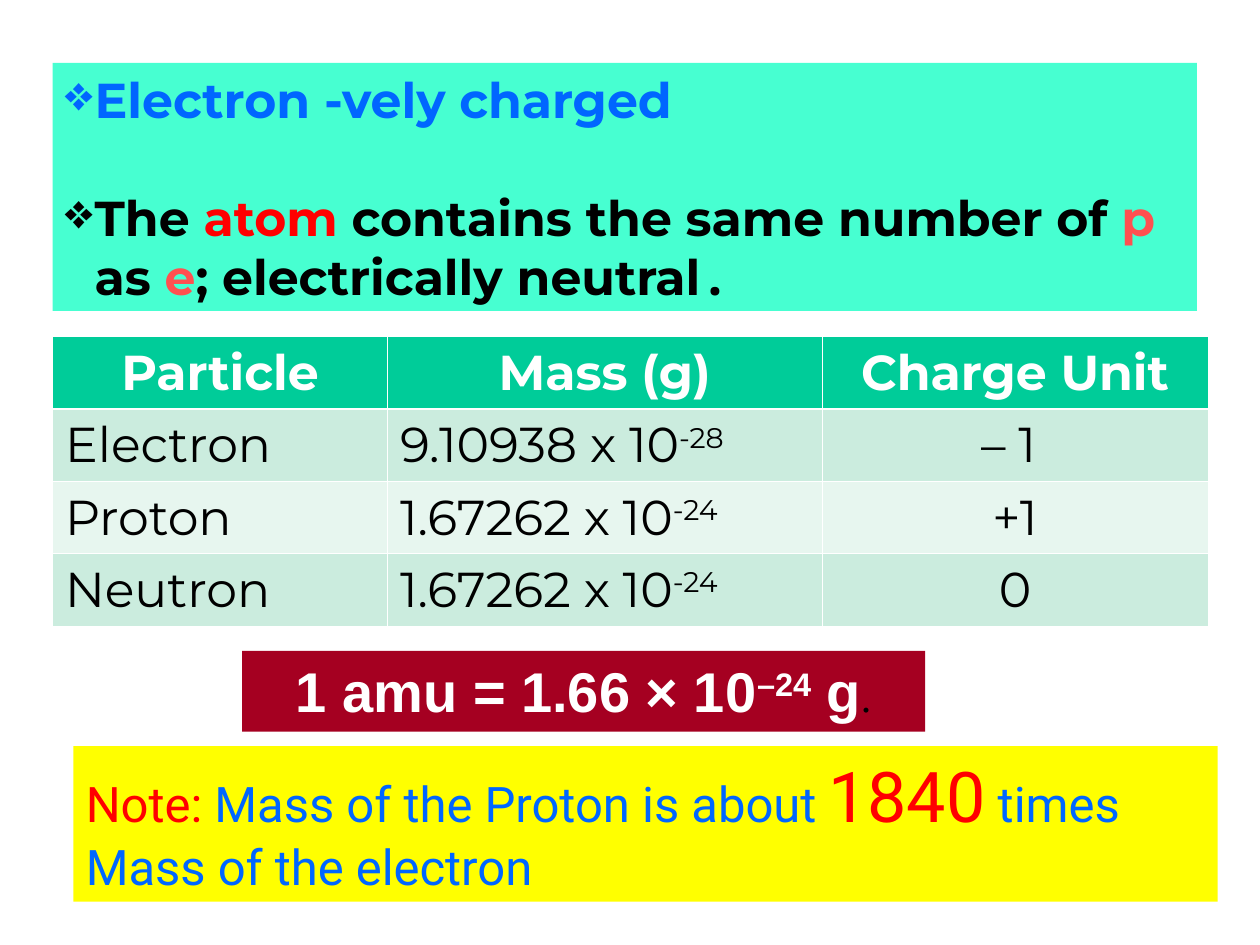
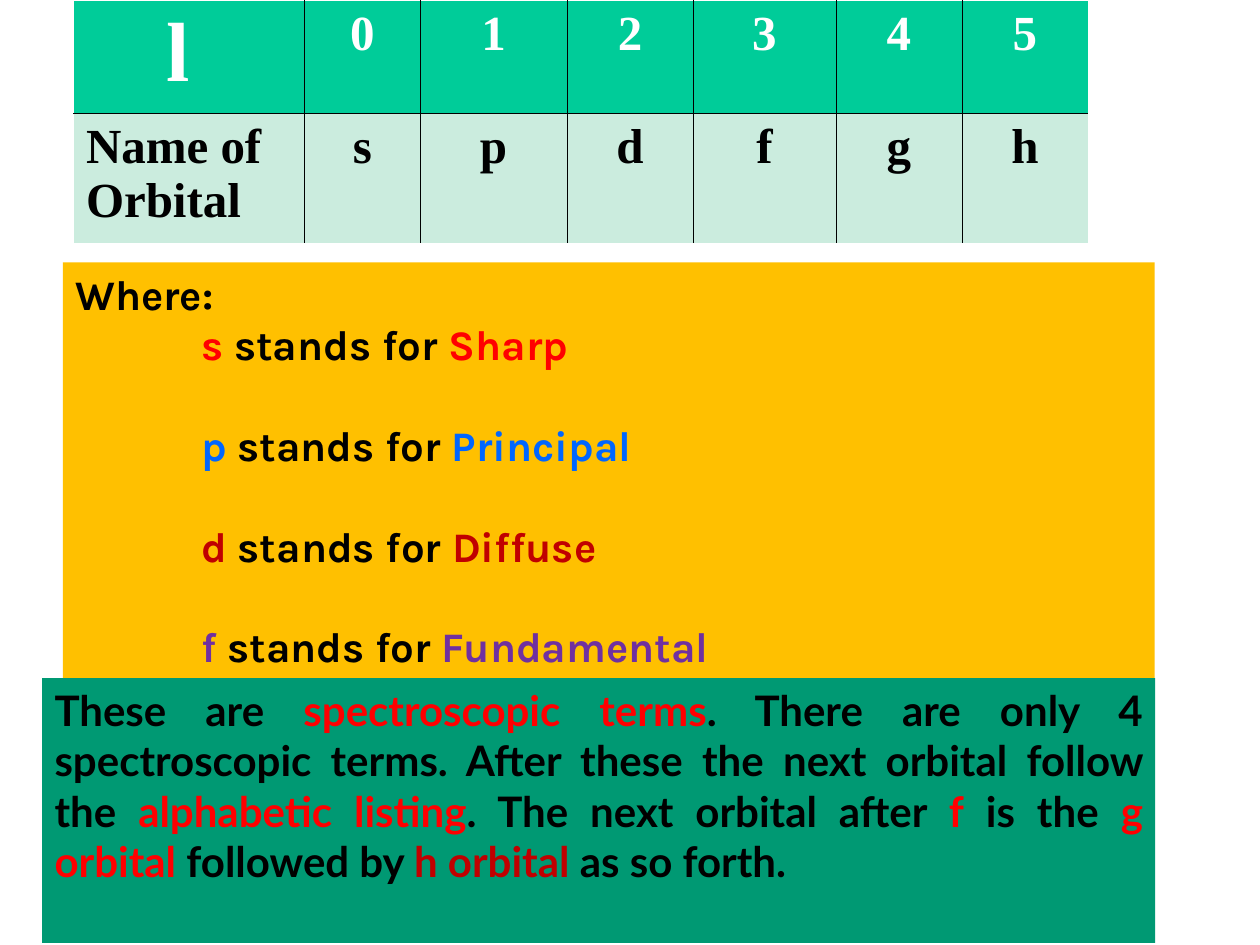
from lxml import etree
from pptx import Presentation
from pptx.dml.color import RGBColor
from pptx.enum.shapes import MSO_SHAPE
from pptx.enum.text import MSO_ANCHOR, PP_ALIGN
from pptx.oxml.ns import qn
from pptx.util import Cm, Pt

RECT = MSO_SHAPE.RECTANGLE
TOP = MSO_ANCHOR.TOP
LEFT, MID, FULL = PP_ALIGN.LEFT, PP_ALIGN.CENTER, PP_ALIGN.JUSTIFY

HUES = {
    "black": "000000",
    "white": "FFFFFF",
    "red": "FF0000",
    "coral": "FF5050",
    "brick": "C00000",
    "wine": "A50021",
    "blue": "0066FF",
    "plum": "7030A0",
    "aqua": "47FFD1",
    "yellow": "FFFF00",
    "amber": "FFC000",
    "pine": "009973",
    "head": "00CC99",
    "mint": "CBECDE",
    "pale": "E7F6EF",
}


def write(par, text, font, size, hue="black", bold=False, lift=0):
    """Add a run to a paragraph; lift raises it by a percentage."""
    run = par.add_run()
    run.text = text
    run.font.name = font
    run.font.size = Pt(size)
    run.font.bold = bold
    run.font.color.rgb = RGBColor.from_string(HUES[hue])
    if lift:
        run._r.get_or_add_rPr().set("baseline", str(lift * 1000))


def panel(slide, hue, left, top, width, height):
    """Draw a plain filled box, in cm, and return its text frame."""
    box = slide.shapes.add_shape(RECT, Cm(left), Cm(top), Cm(width), Cm(height))
    box.shadow.inherit = False
    box.fill.solid()
    box.fill.fore_color.rgb = RGBColor.from_string(HUES[hue])
    box.line.fill.background()
    frame = box.text_frame
    frame.word_wrap = True
    frame.vertical_anchor = TOP
    frame.paragraphs[0].alignment = LEFT
    return frame


deck = Presentation()
deck.slide_width, deck.slide_height = Cm(25.4), Cm(19.05)
blank = deck.slide_layouts[6]
atom = deck.slides.add_slide(blank)
orbit = deck.slides.add_slide(blank)

# Tables: "^" marks the start of an exponent
grids = [
    dict(
        slide=atom, left=1.06, top=6.79, font="Montserrat",
        cols=[6.75, 8.76, 7.78], rows=[1.44] * 4,
        rule="white", under=1.47, bold=False, mids=[2],
        cells=[
            ["Particle", "Mass (g)", "Charge Unit"],
            ["Electron", "9.10938 x 10^-28", "– 1 "],
            ["Proton", "1.67262 x 10^-24", "+1"],
            ["Neutron", "1.67262 x 10^-24", "0"],
        ],
    ),
    dict(
        slide=orbit, left=1.48, top=0, font="Times New Roman",
        cols=[4.66, 2.33, 2.96, 2.54, 2.88, 2.54, 2.54], rows=[2.29, 2.61],
        rule="black", under=0.45, bold=True, mids=range(1, 7),
        cells=[
            ["l ", *"012345"],
            ["Name of Orbital", *"spdfgh"],
        ],
    ),
]

for grid in grids:
    cols, rows = grid["cols"], grid["rows"]
    table = grid["slide"].shapes.add_table(
        len(rows), len(cols), Cm(grid["left"]), Cm(grid["top"]),
        Cm(sum(cols)), Cm(sum(rows))).table
    for col, width in zip(table.columns, cols):
        col.width = Cm(width)
    for row, height in zip(table.rows, rows):
        row.height = Cm(height)

    for r, line in enumerate(grid["cells"]):
        for c, text in enumerate(line):
            cell = table.cell(r, c)
            head = r == 0

            # Outer edges stay white, inner ones take the rule colour
            edges = {
                "L": (c == 0, 0.45),
                "R": (c == len(cols) - 1, 0.45),
                "T": (head, grid["under"] if r == 1 else 0.45),
                "B": (r == len(rows) - 1, grid["under"] if head else 0.45),
            }
            props = cell._tc.get_or_add_tcPr()
            for side, (outer, thick) in edges.items():
                edge = etree.SubElement(props, qn(f"a:ln{side}"), w=str(Pt(thick)))
                fill = etree.SubElement(edge, qn("a:solidFill"))
                hue = HUES["white" if outer else grid["rule"]]
                etree.SubElement(fill, qn("a:srgbClr"), val=hue)

            tone = "head" if head else "mint" if r % 2 else "pale"
            cell.fill.solid()
            cell.fill.fore_color.rgb = RGBColor.from_string(HUES[tone])

            par = cell.text_frame.paragraphs[0]
            par.alignment = MID if head or c in grid["mids"] else LEFT
            look = dict(font=grid["font"], size=48 if text == "l " else 28,
                        hue="white" if head else "black",
                        bold=head or grid["bold"])
            base, _, power = text.partition("^")
            write(par, base, **look)
            if power:
                write(par, power, lift=30, **look)

# Slide 1: facts with diamond bullets
facts = [
    [("Electron -vely charged", "blue")],
    [("The ", "black"), ("atom ", "red"),
     ("contains the same number of ", "black"), ("p", "coral"),
     (" as ", "black"), ("e", "coral"), ("; electrically neutral", "black")],
]
frame = panel(atom, "aqua", 1.06, 1.27, 23.07, 5)
for i, fact in enumerate(facts):
    par = frame.add_paragraph() if i else frame.paragraphs[0]
    par.alignment = LEFT
    if i:
        par.space_before = Pt(34)
    props = par._p.get_or_add_pPr()
    props.set("marL", str(Cm(0.6)))
    props.set("indent", str(Cm(-0.6)))
    tint = etree.SubElement(props, qn("a:buClr"))
    etree.SubElement(tint, qn("a:srgbClr"), val=HUES[fact[0][1]])
    etree.SubElement(props, qn("a:buChar"), char="❖")
    for text, hue in fact:
        write(par, text, "Montserrat", 28, hue, bold=True)
write(par, ".", "Noto Sans Mono", 28, bold=True)

par = panel(atom, "yellow", 1.48, 15.04, 23.07, 3.14).paragraphs[0]
for text, size, hue in [
    ("Note: ", 28, "red"),
    ("Mass of the Proton is about ", 28, "blue"),
    ("1840", 40, "red"),
    (" times Mass of the electron", 28, "blue"),
]:
    write(par, text, "Roboto", size, hue)

par = panel(atom, "wine", 4.88, 13.12, 13.77, 1.63).paragraphs[0]
par.alignment = MID
for text, lift in [("1 amu = 1.66 × 10", 0), ("–24", 30), (" g", 0)]:
    write(par, text, "Arial", 32, "white", bold=True, lift=lift)
write(par, ".", "Times New Roman", 24)

# Slide 2: what the letters mean
frame = panel(orbit, "amber", 1.27, 5.29, 22.01, 8.38)
write(frame.paragraphs[0], "Where:", "Karla", 24, bold=True)
names = [("Sharp", "red"), ("Principal", "blue"),
         ("Diffuse", "brick"), ("Fundamental", "plum")]
for i, (name, hue) in enumerate(names):
    par = frame.add_paragraph()
    par.alignment = LEFT
    par._p.get_or_add_pPr().set("marL", str(Cm(2.54)))
    if i:
        par.space_before = Pt(28.7)
    for text, tint in [(name[0].lower(), hue), (" stands for ", "black"), (name, hue)]:
        write(par, text, "Karla", 24, tint, bold=True)

par = panel(orbit, "pine", 0.85, 13.67, 22.44, 5.34).paragraphs[0]
par.alignment = FULL
for text, hue in [
    ("These are ", "black"),
    ("spectroscopic terms", "red"),
    (". There are only 4 spectroscopic terms. After these the next orbital "
     "follow the ", "black"),
    ("alphabetic listing", "red"),
    (". The next orbital after ", "black"),
    ("f", "red"),
    (" is the ", "black"),
    ("g orbital ", "red"),
    ("followed by ", "black"),
    ("h orbital ", "brick"),
    ("as so forth.", "black"),
]:
    write(par, text, "Lato", 24, hue, bold=True)

deck.save("out.pptx")
